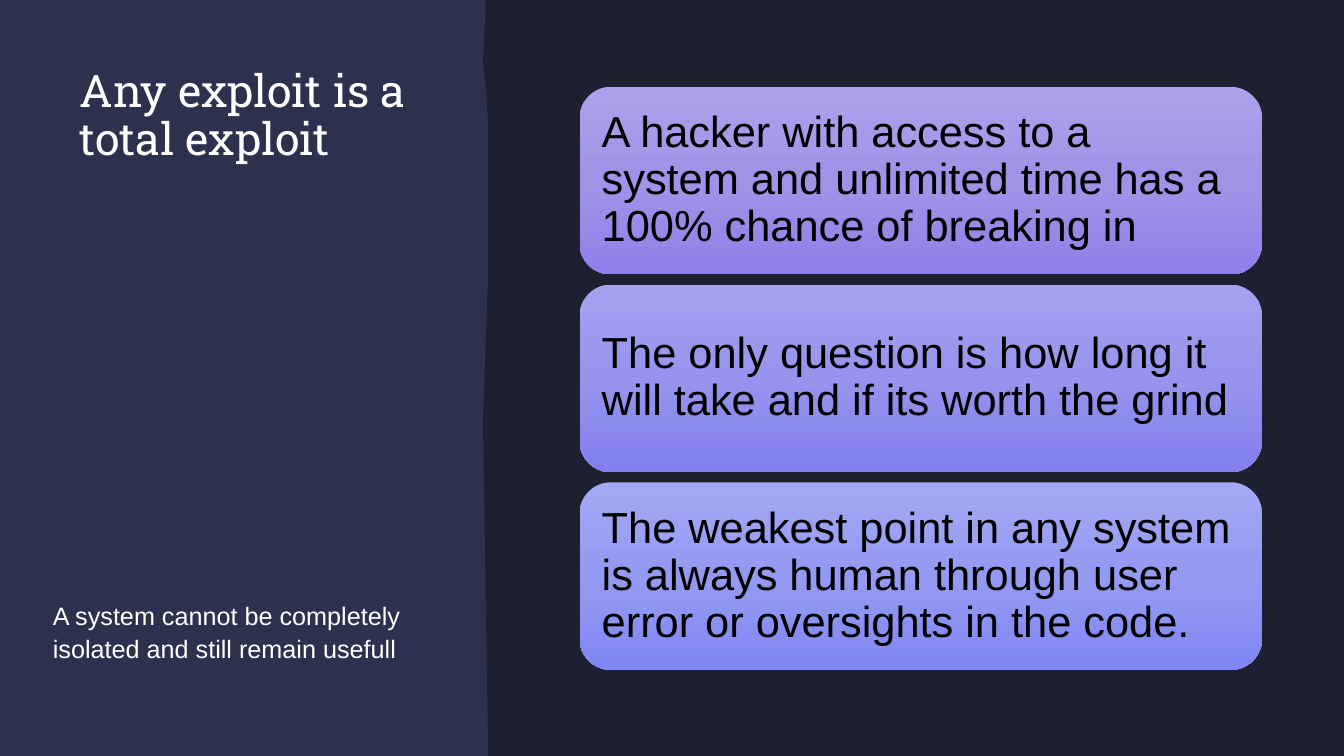
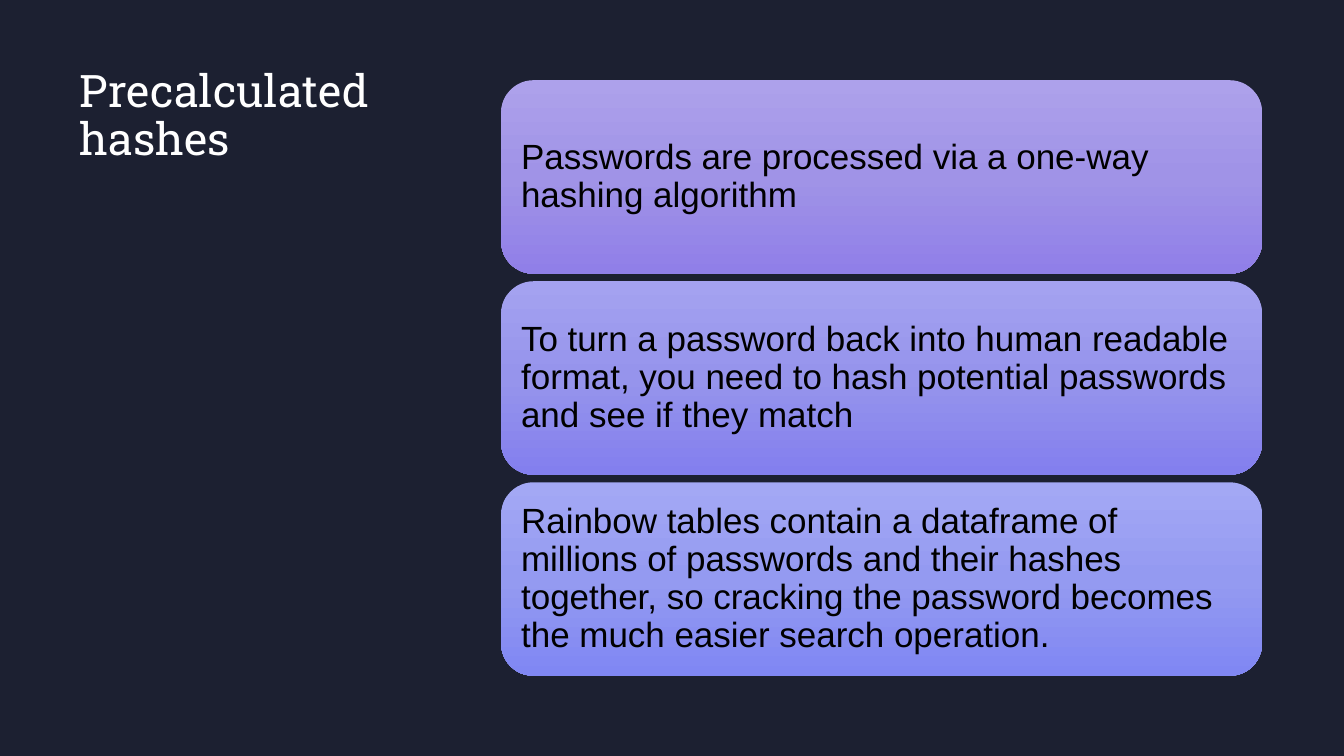
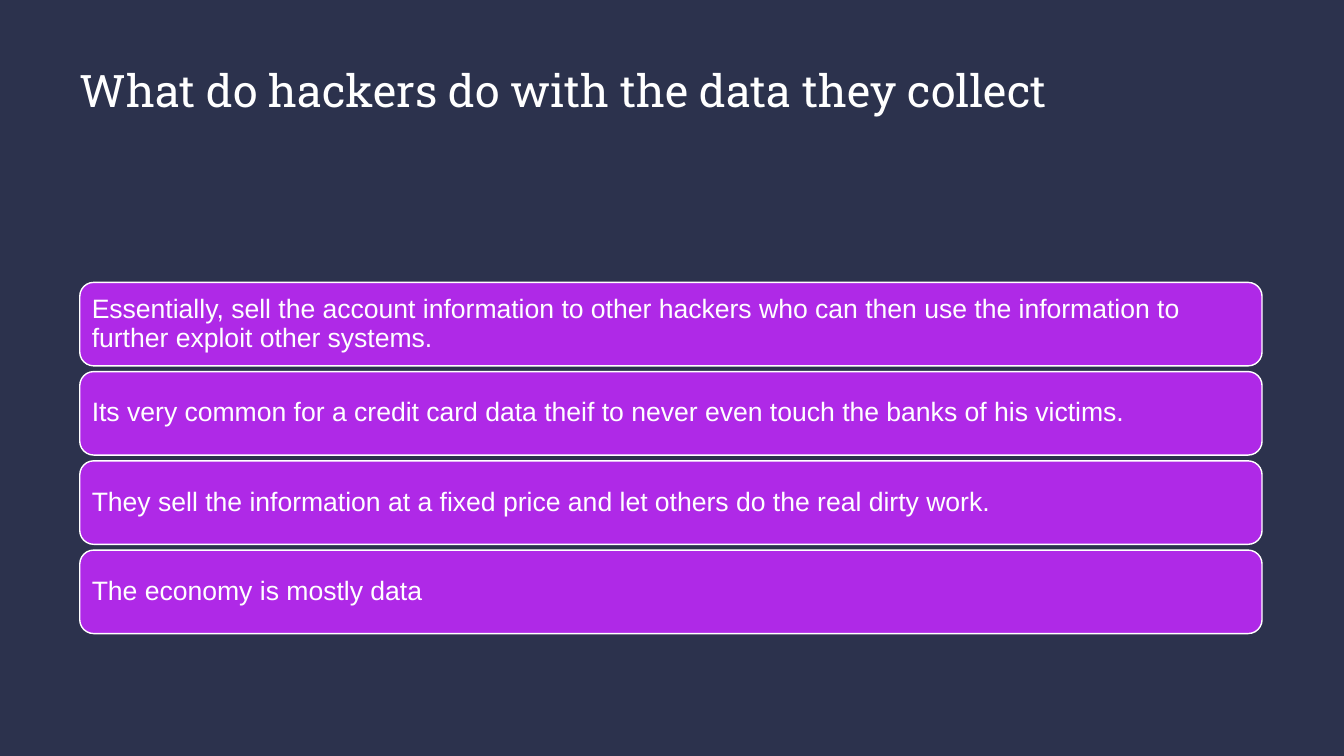
from copy import deepcopy
from dataclasses import dataclass

from pptx import Presentation
from pptx.dml.color import RGBColor
from pptx.enum.shapes import MSO_SHAPE
from pptx.enum.text import MSO_ANCHOR, PP_ALIGN
from pptx.util import Pt

ROUND = MSO_SHAPE.ROUNDED_RECTANGLE
TOP, MIDDLE = MSO_ANCHOR.TOP, MSO_ANCHOR.MIDDLE
LEFT = PP_ALIGN.LEFT

# Shared look
WIDE, HIGH = 960, 540
NIGHT, SLATE, WHITE, BLACK, VIOLET = "1C2031", "2C324D", "FFFFFF", "000000", "AF29E7"
HEAD, BODY = "Roboto Slab", "Arial"
EDGE = 57
RIGHT = 901.5
FADES = [
    ("ADA1EB", "A093E7", "907FE8"),
    ("A4A2F0", "9694EC", "837FEE"),
    ("A3A8F4", "949AF1", "8087F3"),
]
# Right side of the first slide, with its ragged left edge
RAGGED = [(347, 0), (WIDE, 0), (WIDE, HIGH), (348.5, HIGH), (348.5, 525),
          (345, 300), (348.5, 202), (348.5, 85), (347.5, 70), (345, 43), (347, 8)]


@dataclass
class Stack:
    left: float
    top: float
    high: float
    gap: float
    size: float
    texts: list[str]
    fades: list[tuple[str, str, str]] | None = None


@dataclass
class Page:
    back: str
    title: str
    wide: float
    stack: Stack
    note: str = ""
    ragged: bool = False


PAGES = [
    Page(SLATE, "Any exploit is a total exploit", 245, Stack(
        414, 62, 134, 7.25, 31, [
            "A hacker with access to a system and unlimited time has a 100% chance of breaking in",
            "The only question is how long it will take and if its worth the grind",
            "The weakest point in any system is always human through user error or oversights in the code.",
        ], FADES),
        "A system cannot be completely isolated and still remain usefull", True),
    Page(NIGHT, "Precalculated hashes", 245, Stack(
        358, 57.3, 138.2, 5.4, 25, [
            "Passwords are processed via a one-way hashing algorithm",
            "To turn a password back into human readable format, you need to hash potential "
            "passwords and see if they match",
            "Rainbow tables contain a dataframe of millions of passwords and their hashes together, "
            "so cracking the password becomes the much easier search operation.",
        ], FADES)),
    Page(SLATE, "What do hackers do with the data they collect", RIGHT - EDGE, Stack(
        EDGE, 201.7, 59.6, 4.15, 19, [
            "Essentially, sell the account information to other hackers who can then use the "
            "information to further exploit other systems.",
            "Its very common for a credit card data theif to never even touch the banks of his victims.",
            "They sell the information at a fixed price and let others do the real dirty work.",
            "The economy is mostly data",
        ])),
]


def tint(code: str) -> RGBColor:
    return RGBColor.from_string(code)


def paint(fill, code: str) -> None:
    fill.solid()
    fill.fore_color.rgb = tint(code)


def write(shape, text: str, font: str, size: float, color: str, space: float,
          pad: tuple[float, float], anchor=TOP) -> None:
    frame = shape.text_frame
    frame.text = text
    frame.word_wrap = True
    frame.vertical_anchor = anchor
    frame.margin_left = frame.margin_right = Pt(pad[0])
    frame.margin_top = frame.margin_bottom = Pt(pad[1])
    line = frame.paragraphs[0]
    line.alignment = LEFT
    line.line_spacing = space
    face = line.runs[0].font
    face.name, face.size = font, Pt(size)
    face.color.rgb = tint(color)


def label(slide, box: tuple[float, float, float, float], *style) -> None:
    write(slide.shapes.add_textbox(*map(Pt, box)), *style)


def fade(shape, codes: tuple[str, str, str]) -> None:
    shape.fill.gradient()
    shape.fill.gradient_angle = 270
    # The stock fade has two stops; add a third
    stops = shape.element.xpath("p:spPr/a:gradFill/a:gsLst")[0]
    stops.append(deepcopy(stops[0]))
    for i, (stop, code) in enumerate(zip(shape.fill.gradient_stops, codes)):
        stop.position = i / 2
        stop.color.rgb = tint(code)


def draw_stack(slide, stack: Stack) -> None:
    pad = 0.3 * stack.size
    for i, text in enumerate(stack.texts):
        top = stack.top + i * (stack.high + stack.gap)
        card = slide.shapes.add_shape(
            ROUND, Pt(stack.left), Pt(top), Pt(RIGHT - stack.left), Pt(stack.high))
        card.shadow.inherit = False
        if stack.fades:
            fade(card, stack.fades[i])
            card.line.fill.background()
        else:
            paint(card.fill, VIOLET)
            paint(card.line.fill, WHITE)
            card.line.width = Pt(1)
        color = BLACK if stack.fades else WHITE
        write(card, text, BODY, stack.size, color, 0.9, (pad, pad), MIDDLE)


def draw_ragged(slide) -> None:
    spots = [(Pt(x), Pt(y)) for x, y in RAGGED]
    pen = slide.shapes.build_freeform(*spots[0])
    pen.add_line_segments(spots[1:], close=True)
    side = pen.convert_to_shape()
    side.shadow.inherit = False
    paint(side.fill, NIGHT)
    side.line.fill.background()


def draw_page(deck, page: Page) -> None:
    slide = deck.slides.add_slide(deck.slide_layouts[6])
    paint(slide.background.fill, page.back)
    if page.ragged:
        draw_ragged(slide)
    label(slide, (EDGE, 49, page.wide, 117), page.title, HEAD, 32, WHITE, 0.9, (0, 0))
    draw_stack(slide, page.stack)
    if page.note:
        label(slide, (30.7, 424, 297, 51), page.note, BODY, 18, WHITE, 1.07, (7.2, 3.6))


def main() -> None:
    deck = Presentation()
    deck.slide_width, deck.slide_height = Pt(WIDE), Pt(HIGH)
    for page in PAGES:
        draw_page(deck, page)
    deck.save("out.pptx")


if __name__ == "__main__":
    main()
